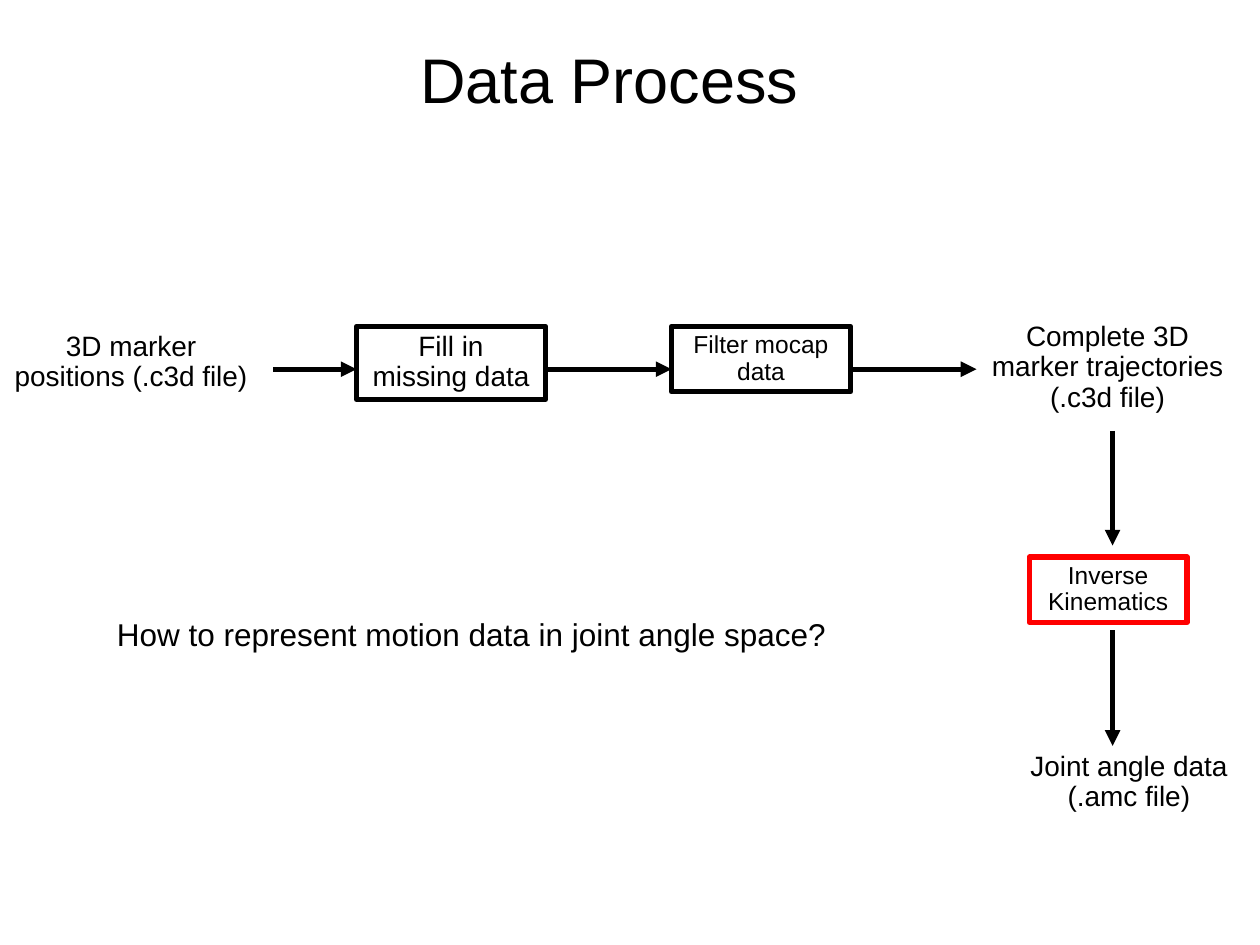
from dataclasses import dataclass
from typing import Optional

from lxml.etree import SubElement as Sub
from pptx import Presentation
from pptx.dml.color import RGBColor as Color
from pptx.enum.shapes import MSO_CONNECTOR as Link, MSO_SHAPE as Shape
from pptx.enum.text import MSO_ANCHOR as Anchor, PP_ALIGN as Align
from pptx.oxml.ns import qn
from pptx.util import Inches, Pt


@dataclass(frozen=True)
class Theme:
    font: str = "Arial"
    ink: Color = Color(0, 0, 0)
    paper: Color = Color(255, 255, 255)
    alert: Color = Color(255, 0, 0)
    title: int = 36
    ask: int = 18
    label: int = 16
    small: int = 14
    line: int = 3


@dataclass(frozen=True)
class Node:
    text: str
    left: float
    top: float
    width: float
    height: float
    size: int
    edge: Optional[Color] = None
    fill: Optional[Color] = None
    align: Align = Align.CENTER
    lead: float = 0.9


@dataclass(frozen=True)
class Arrow:
    x: float
    y: float
    end_x: float
    end_y: float


THEME = Theme()
ROW = 2.93
DROP = 8.83

ARROWS = [
    Arrow(2.17, ROW, 2.83, ROW),
    Arrow(4, ROW, 5.33, ROW),
    Arrow(6.17, ROW, 7.75, ROW),
    Arrow(DROP, 3.42, DROP, 4.33),
    Arrow(DROP, 5, DROP, 5.92),
]

NODES = [
    Node("3D marker positions (.c3d file)", 0, 2.59, 2.08, 0.58, THEME.label),
    Node("Fill in missing data", 2.83, 2.59, 1.5, 0.58, THEME.label,
         THEME.ink, THEME.paper),
    Node("Filter mocap data", 5.33, 2.59, 1.42, 0.52, THEME.small,
         THEME.ink, THEME.paper),
    Node("Complete 3D marker trajectories (.c3d file)",
         7.75, 2.51, 2.08, 0.82, THEME.label),
    Node("Inverse Kinematics", 8.17, 4.42, 1.25, 0.52, THEME.small,
         THEME.alert),
    Node("Joint angle data (.amc file)", 7.92, 5.92, 2.08, 0.58, THEME.label),
    Node("How to represent motion data in joint angle space?",
         0.83, 4.83, 6.08, 0.4, THEME.ask, align=Align.LEFT, lead=1.0),
]


def write(frame, text: str, size: int, align: Align, anchor: Anchor,
          lead: float = 1.0) -> None:
    frame.word_wrap = True
    frame.vertical_anchor = anchor
    para = frame.paragraphs[0]
    para.alignment = align
    para.line_spacing = lead
    run = para.add_run()
    run.text = text
    run.font.name = THEME.font
    run.font.size = Pt(size)
    run.font.color.rgb = THEME.ink


def draw_title(slide, text: str) -> None:
    title = slide.shapes.title
    title.left, title.top = Inches(0.42), Inches(0)
    title.width, title.height = Inches(8.83), Inches(1.25)
    write(title.text_frame, text, THEME.title, Align.CENTER, Anchor.MIDDLE)


def draw_node(slide, node: Node) -> None:
    box = [Inches(v) for v in (node.left, node.top, node.width, node.height)]
    if node.edge is None:
        shape = slide.shapes.add_textbox(*box)
    else:
        shape = slide.shapes.add_shape(Shape.RECTANGLE, *box)
        shape.shadow.inherit = False
        shape.line.color.rgb = node.edge
        shape.line.width = Pt(THEME.line)
        if node.fill is None:
            shape.fill.background()
        else:
            shape.fill.solid()
            shape.fill.fore_color.rgb = node.fill
    write(shape.text_frame, node.text, node.size, node.align, Anchor.TOP,
          node.lead)


def draw_arrow(slide, arrow: Arrow) -> None:
    ends = [Inches(v) for v in (arrow.x, arrow.y, arrow.end_x, arrow.end_y)]
    link = slide.shapes.add_connector(Link.STRAIGHT, *ends)
    link.line.color.rgb = THEME.ink
    link.line.width = Pt(THEME.line)
    Sub(link.line._get_or_add_ln(), qn("a:tailEnd"), type="triangle")
    Sub(link._element.spPr, qn("a:effectLst"))


def main() -> None:
    deck = Presentation()
    deck.slide_width, deck.slide_height = Inches(10), Inches(7.5)
    slide = deck.slides.add_slide(deck.slide_layouts[5])
    draw_title(slide, "Data Process")
    for arrow in ARROWS:
        draw_arrow(slide, arrow)
    for node in NODES:
        draw_node(slide, node)
    deck.save("out.pptx")


if __name__ == "__main__":
    main()
